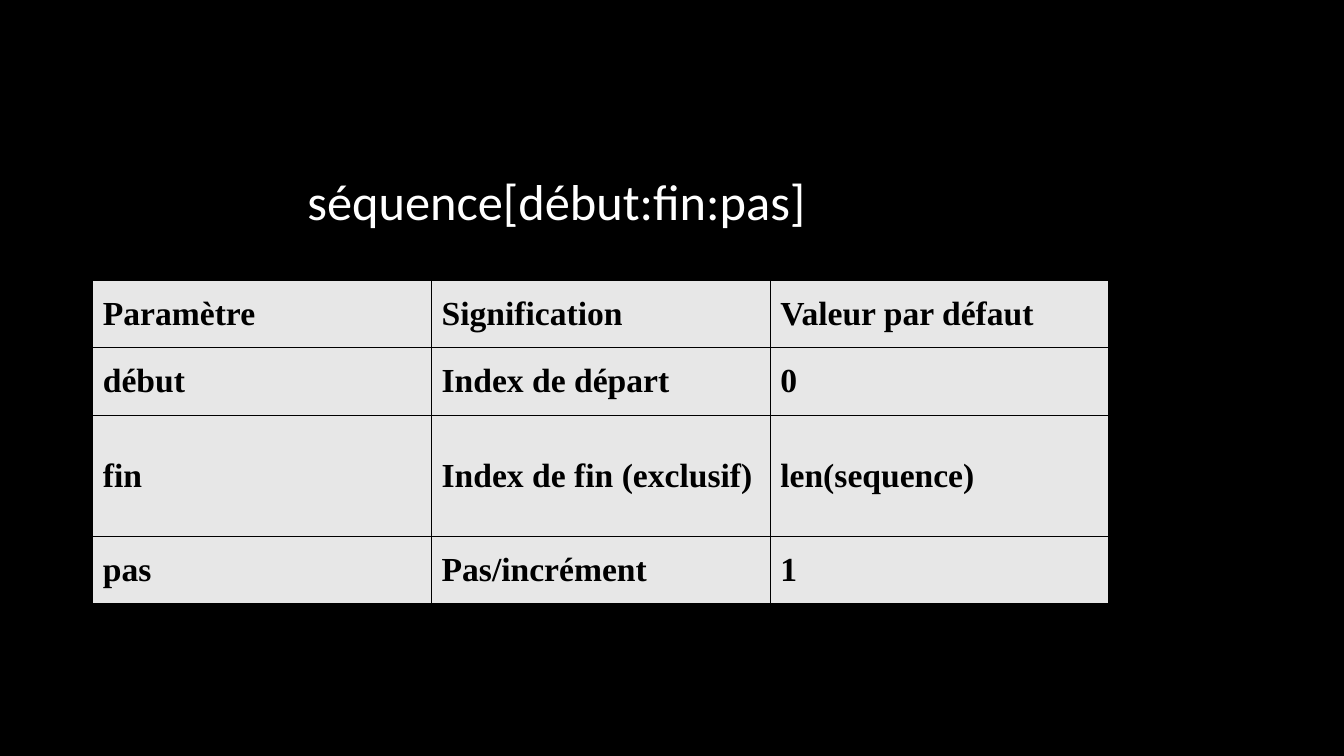
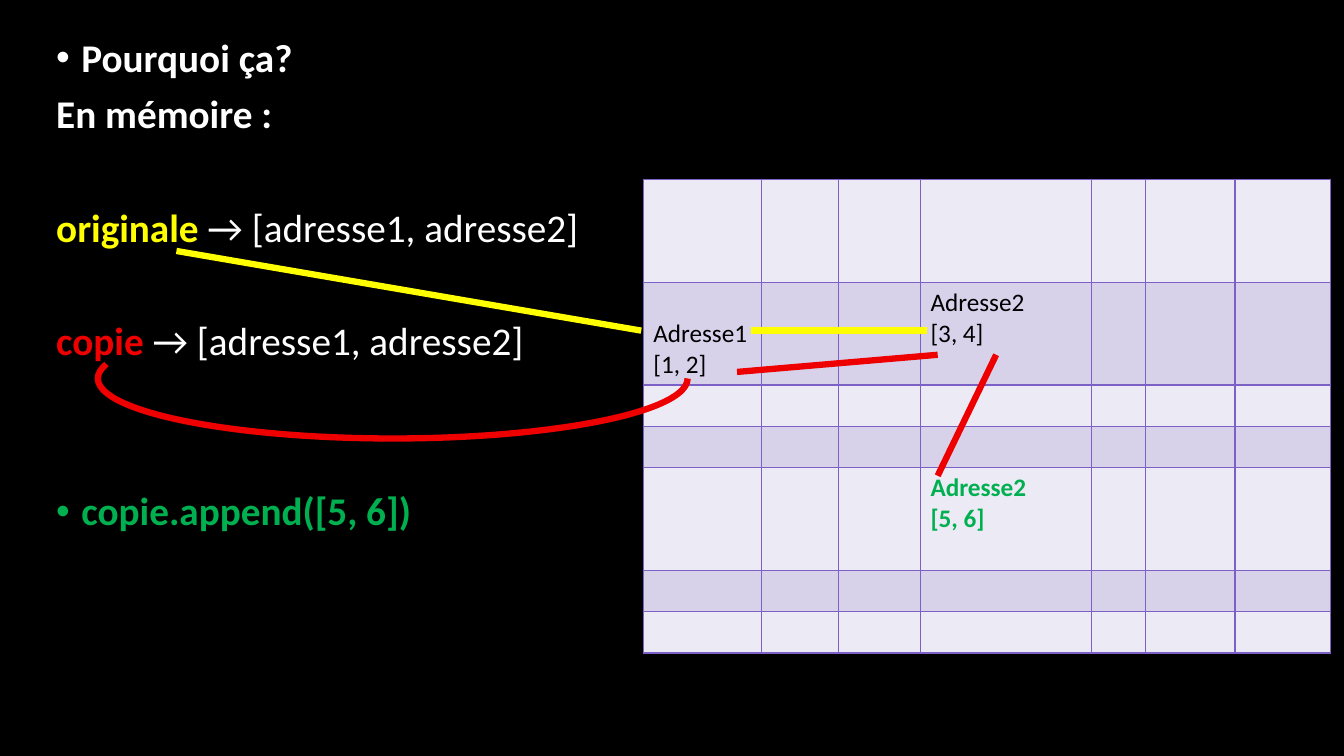
from lxml import etree
from pptx import Presentation
from pptx.dml.color import RGBColor
from pptx.enum.shapes import MSO_CONNECTOR, MSO_SHAPE
from pptx.enum.text import MSO_ANCHOR
from pptx.oxml.ns import qn
from pptx.util import Inches, Pt

LINE, ARC = MSO_CONNECTOR.STRAIGHT, MSO_SHAPE.ARC
TOP, MIDDLE, BOTTOM = MSO_ANCHOR.TOP, MSO_ANCHOR.MIDDLE, MSO_ANCHOR.BOTTOM

# Shared style
BLACK, WHITE = "000000", "FFFFFF"
YELLOW, RED, GREEN = "FFFF00", "EE0000", "00B050"
GREY, PURPLE = "E7E7E7", "7C60C6"
BANDS = ("ECEAF5", "D7D2EA")
BODY_FONT, TABLE_FONT = "Calibri", "Times New Roman"
STROKE = 4.5

# Slide 1: slicing syntax and its parameters
SYNTAX = "séquence[début:fin:pas]"
PARAMETERS = [
    ("Paramètre", "Signification", "Valeur par défaut"),
    ("début", "Index de départ", "0"),
    ("fin", "Index de fin (exclusif)", "len(sequence)"),
    ("pas", "Pas/incrément", "1"),
]
PARAMETER_COLS = [3.36] * 3
PARAMETER_ROWS = [0.67, 0.67, 1.2, 0.67]

# Slide 2: (space before in points, bulleted, runs of text, colour, bold)
LIST_VALUE = (" → [adresse1, adresse2]", WHITE, False)
MEMORY_TEXT = [
    (0, True, [("Pourquoi ça?", WHITE, True)]),
    (10, False, [("En mémoire :", WHITE, True)]),
    (51, False, [("originale", YELLOW, True), LIST_VALUE]),
    (51, False, [("copie", RED, True), LIST_VALUE]),
    (91, True, [("copie.append([5, 6])", GREEN, True)]),
]
MEMORY_COLS = [1.17, 0.77, 0.81, 1.7, 0.53, 0.89, 0.95]
MEMORY_ROWS = [1.02, 1.02, 0.41, 0.41, 1.02, 0.41, 0.41]
# (row, column): lines, colour, bold, anchor
MEMORY_CELLS = {
    (1, 0): (["Adresse1", "[1, 2]"], BLACK, False, BOTTOM),
    (1, 3): (["Adresse2", "[3, 4]"], BLACK, False, TOP),
    (4, 3): (["Adresse2", "[5, 6]"], GREEN, True, TOP),
}
LINKS = [
    ((1.75, 2.49), (6.36, 3.28), YELLOW),
    ((7.45, 3.28), (9.19, 3.28), YELLOW),
    ((7.31, 3.69), (9.3, 3.52), RED),
    ((9.88, 3.52), (9.3, 4.72), RED),
]
COPY_ARC = (0.97, 3.16, 5.85, 1.19)


def rgb(value):
    return RGBColor.from_string(value)


def inches(*values):
    return [Inches(v) for v in values]


def style_run(r, size, color, bold=False, font=BODY_FONT):
    r.font.size, r.font.bold, r.font.name = Pt(size), bold, font
    r.font.color.rgb = rgb(color)


def add_bullet(p):
    pPr = p._p.get_or_add_pPr()
    pPr.set("marL", str(Inches(0.25)))
    pPr.set("indent", str(-Inches(0.25)))
    etree.SubElement(pPr, qn("a:buFont"), typeface="Arial")
    etree.SubElement(pPr, qn("a:buChar"), char="•")


def add_text(slide, box, paragraphs, size):
    tf = slide.shapes.add_textbox(*inches(*box)).text_frame
    tf.word_wrap = True
    for i, (before, bulleted, runs) in enumerate(paragraphs):
        p = tf.add_paragraph() if i else tf.paragraphs[0]
        p.line_spacing, p.space_before = 0.9, Pt(before)
        if bulleted:
            add_bullet(p)
        for text, color, bold in runs:
            r = p.add_run()
            r.text = text
            style_run(r, size, color, bold)


def set_borders(cell, color):
    tcPr = cell._tc.get_or_add_tcPr()
    for side in ("lnL", "lnR", "lnT", "lnB"):
        ln = etree.SubElement(tcPr, qn("a:" + side), w=str(Pt(1)))
        fill = etree.SubElement(ln, qn("a:solidFill"))
        etree.SubElement(fill, qn("a:srgbClr"), val=color)


def add_grid(slide, left, top, cols, rows, fills, border):
    """Add a table whose row fills cycle through the given colours."""
    frame = slide.shapes.add_table(
        len(rows), len(cols), *inches(left, top, sum(cols), sum(rows)))
    table = frame.table
    table.first_row = table.horz_banding = False
    for col, width in zip(table.columns, cols):
        col.width = Inches(width)
    for i, (row, height) in enumerate(zip(table.rows, rows)):
        row.height = Inches(height)
        for cell in row.cells:
            set_borders(cell, border)
            cell.fill.solid()
            cell.fill.fore_color.rgb = rgb(fills[i % len(fills)])
    return table


def fill_cell(cell, lines, anchor, size, color, bold, font=BODY_FONT):
    cell.text_frame.text = "\n".join(lines)
    cell.vertical_anchor = anchor
    for p in cell.text_frame.paragraphs:
        style_run(p.runs[0], size, color, bold, font)


def style_line(shape, color):
    shape.line.color.rgb = rgb(color)
    shape.line.width = Pt(STROKE)


def add_link(slide, start, end, color):
    link = slide.shapes.add_connector(LINE, *inches(*start, *end))
    style_line(link, color)
    etree.SubElement(link._element.spPr, qn("a:effectLst"))


def build_slicing(slide):
    add_text(slide, (2.95, 1.71, 6, 0.65),
             [(0, False, [(SYNTAX, WHITE, False)])], 36)
    table = add_grid(slide, 0.92, 2.78, PARAMETER_COLS, PARAMETER_ROWS,
                     [GREY], BLACK)
    for i, row in enumerate(PARAMETERS):
        for j, text in enumerate(row):
            fill_cell(table.cell(i, j), [text], MIDDLE, 24, BLACK, True,
                      TABLE_FONT)


def build_memory(slide):
    add_text(slide, (0.46, 0.33, 12.4, 6.71), MEMORY_TEXT, 28)
    table = add_grid(slide, 6.38, 1.78, MEMORY_COLS, MEMORY_ROWS,
                     BANDS, PURPLE)
    for (i, j), (lines, color, bold, anchor) in MEMORY_CELLS.items():
        fill_cell(table.cell(i, j), lines, anchor, 18, color, bold)

    # Links from the names to the memory cells
    for link in LINKS:
        add_link(slide, *link)
    arc = slide.shapes.add_shape(ARC, *inches(*COPY_ARC))
    arc.shadow.inherit = False
    arc.fill.background()
    style_line(arc, RED)
    # Lower half of the ellipse, swept clockwise from the right
    arc.adjustments[0], arc.adjustments[1] = 0, 109.73


def main():
    prs = Presentation()
    prs.slide_width, prs.slide_height = inches(13.33, 7.5)
    background = prs.slide_master.background.fill
    background.solid()
    background.fore_color.rgb = rgb(BLACK)
    for build in (build_slicing, build_memory):
        build(prs.slides.add_slide(prs.slide_layouts[6]))
    prs.save("out.pptx")


if __name__ == "__main__":
    main()
